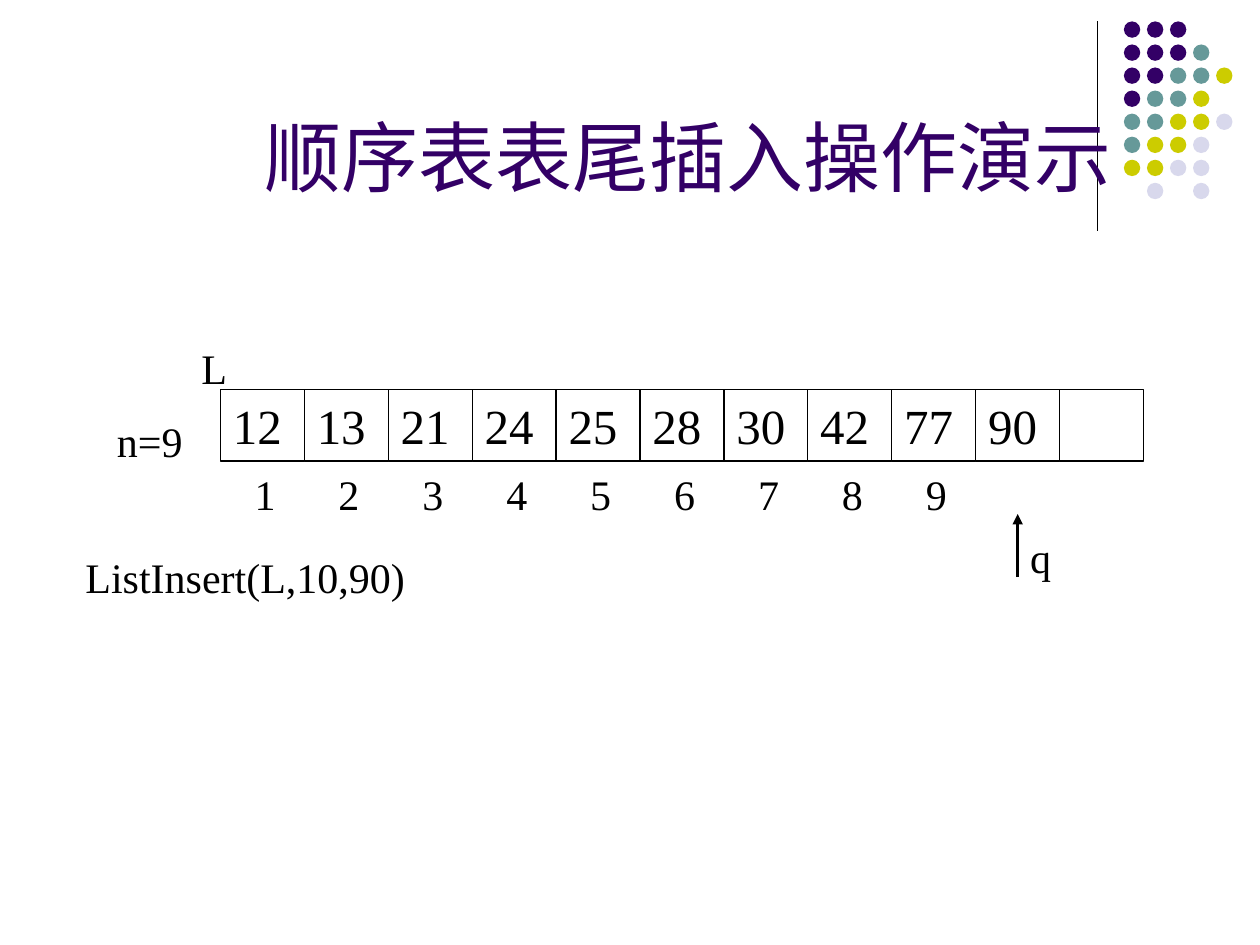
from lxml import etree
from pptx import Presentation
from pptx import util as u
from pptx.dml.color import RGBColor
from pptx.enum import shapes, text
from pptx.oxml.ns import qn

COLORS = {"ink": "000000", "P": "330066", "T": "669999", "Y": "CCCC00", "L": "D8D8EC"}
FONT = "Times New Roman"
DOT_ROWS = ["PPP", "PPPT", "PPTTY", "PTTY", "TTYYL", "TYYL", "YYLL", " L L"]
VALUES = ["12", "13", "21", "24", "25", "28", "30", "42", "77", "90", ""]
CELL = 0.666


def rgb(name):
    return RGBColor.from_string(COLORS[name])


def place(sp, box):
    for name, value in zip(("left", "top", "width", "height"), box):
        setattr(sp, name, u.Inches(value))


def write(sp, words, size, color="ink", align=text.PP_ALIGN.LEFT, anchor=text.MSO_ANCHOR.TOP):
    tf = sp.text_frame
    frame = {"word_wrap": True, "auto_size": text.MSO_AUTO_SIZE.NONE, "vertical_anchor": anchor}
    for name, value in frame.items():
        setattr(tf, name, value)
    p = tf.paragraphs[0]
    p.alignment = align
    r = p.add_run()
    r.text = words
    for name, value in {"size": u.Pt(size), "name": FONT, "bold": False}.items():
        setattr(r.font, name, value)
    r.font.color.rgb = rgb(color)
    return p


def add_label(s, words, box):
    sp = s.shapes.add_textbox(*map(u.Inches, box))
    return sp, write(sp, words, 24)


def add_line(s, start, end, width):
    line = s.shapes.add_connector(shapes.MSO_CONNECTOR.STRAIGHT, *map(u.Inches, start + end))
    line.line.color.rgb = rgb("ink")
    line.line.width = u.Pt(width)
    etree.SubElement(line._element.spPr, qn("a:effectLst"))
    return line


def add_dots(s, left, top, pitch=0.183, size=0.13):
    group = s.shapes.add_group_shape()
    for row, codes in enumerate(DOT_ROWS):
        for col, code in enumerate(codes):
            if code == " ":
                continue
            box = (left + col * pitch, top + row * pitch, size, size)
            dot = group.shapes.add_shape(shapes.MSO_SHAPE.OVAL, *map(u.Inches, box))
            dot.shadow.inherit = False
            dot.fill.solid()
            dot.fill.fore_color.rgb = rgb(code)
            dot.line.fill.background()


def add_title(s, words, box):
    title = s.shapes.title
    place(title, box)
    p = write(title, words, 44, "P", text.PP_ALIGN.CENTER, text.MSO_ANCHOR.MIDDLE)
    p.line_spacing = 0.85
    # Bring the title in front of the corner decoration
    title._element.getparent().append(title._element)


def add_array(s, left, top, height):
    for i, value in enumerate(VALUES):
        box = (left + i * CELL, top, CELL, height)
        sp = s.shapes.add_shape(shapes.MSO_SHAPE.RECTANGLE, *map(u.Inches, box))
        sp.shadow.inherit = False
        sp.fill.background()
        sp.line.color.rgb = rgb("ink")
        sp.line.width = u.Pt(0.75)
        if value:
            write(sp, value, 28)


def add_indices(s, box, count):
    """Number the cells in one line, with a tab stop for each cell."""
    sp, p = add_label(s, "\t".join(str(i + 1) for i in range(count)), box)
    sp.text_frame.margin_left = u.Inches(0.27)
    tabs = etree.SubElement(p._p.get_or_add_pPr(), qn("a:tabLst"))
    for i in range(1, count):
        etree.SubElement(tabs, qn("a:tab"), pos=str(u.Inches(i * CELL)), algn="l")


def add_pointer(s, x, top, height):
    arrow = add_line(s, (x, top + height), (x, top), 1.5)
    etree.SubElement(arrow.line._get_or_add_ln(), qn("a:tailEnd"), type="triangle")
    add_label(s, "q", (x, top + 0.09, 0.58, 0.5))


def main():
    prs = Presentation()
    prs.slide_width, prs.slide_height = u.Inches(10), u.Inches(7.5)
    s = prs.slides.add_slide(prs.slide_layouts[5])
    add_line(s, (8.71, 0.17), (8.71, 1.83), 0.75)
    add_dots(s, 8.92, 0.17)
    add_title(s, "顺序表表尾插入操作演示", (1.43, 0.67, 8.07, 1.25))
    left = 1.75
    add_array(s, left, 3.09, 0.57)
    add_indices(s, (left, 3.67, 9 * CELL, 0.5), 9)
    add_label(s, "n=9", (0.83, 3.25, 0.83, 0.5))
    add_label(s, "ListInsert(L,10,90)", (0.58, 4.33, 2.83, 0.5))
    add_label(s, "L", (1.5, 2.67, 0.5, 0.5))
    add_pointer(s, left + 9.5 * CELL, 4.08, 0.5)
    prs.save("out.pptx")


if __name__ == "__main__":
    main()
